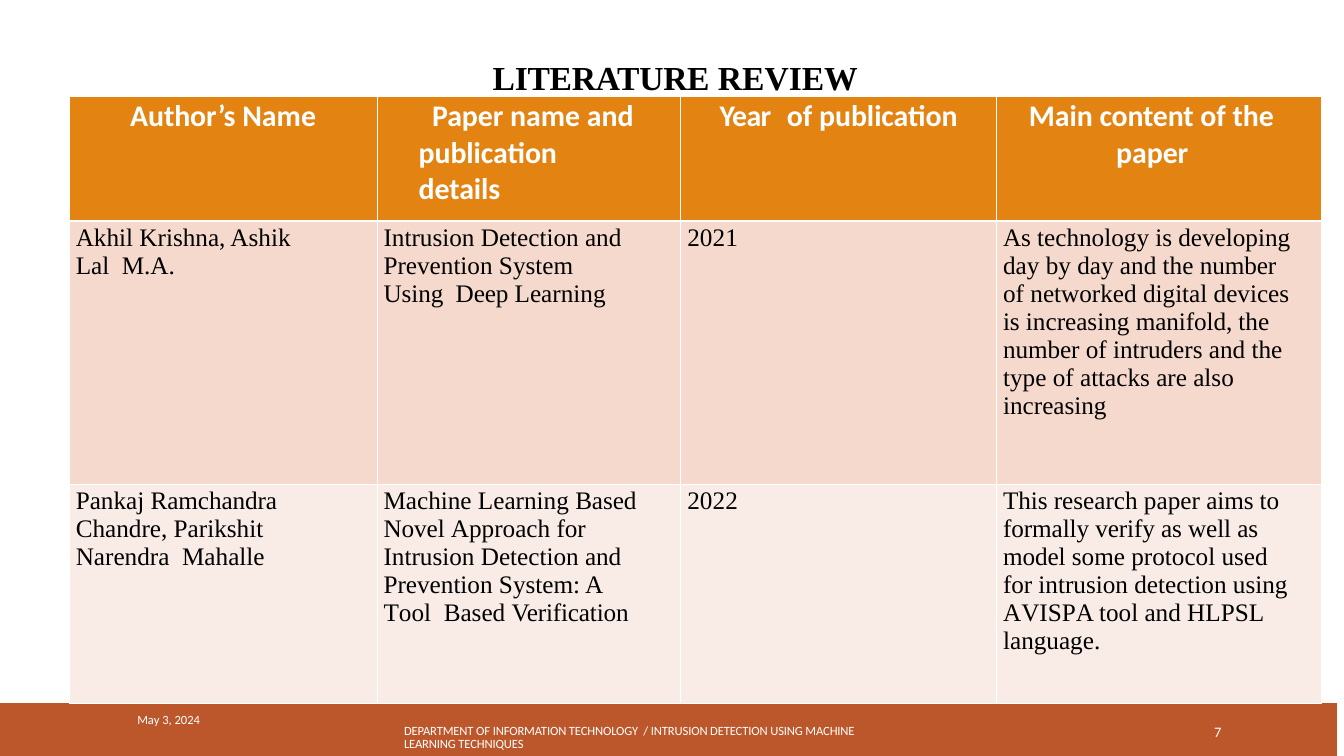
from lxml.etree import SubElement
from pptx import Presentation
from pptx.dml.color import RGBColor
from pptx.enum.text import PP_ALIGN
from pptx.oxml.ns import qn
from pptx.util import Pt

COLORS = {
    "header": "E38312",
    "first_row": "F5D9CC",
    "second_row": "F9ECE7",
    "footer": "BC572C",
    "white": "FFFFFF",
    "black": "000000",
}
SANS, SERIF = "Calibri", "Times New Roman"
NO_TABLE_STYLE = "{2D5ABB26-0587-4C30-8999-92F81FD0307C}"
COLUMN_WIDTHS = [74.2, 329.8, 325.4, 338.4, 347.8, 12.2]
ROW_HEIGHTS = [133.2, 282.2, 234.7, 56.9]

# Each cell is a list of (text, letter spacing in points) runs.
HEADERS = [
    [("Author’s ", -0.1), ("Name", 0)],
    [("Paper ", -0.1), ("name and  ", 0), ("publication details", -0.1)],
    [("Year\t", -0.7), ("of ", 0), ("publication", -0.1)],
    [("Main ", -0.1), ("content ", -0.2), ("of the  ", 0), ("paper", -0.1)],
]
HEADER_INDENTS = [(0, 0), (44.6, 14.4), (0, 0), (128.2, -93.6)]
HEADER_RIGHT_MARGINS = [0, 41, 0, 17]
FIRST_PAPER = [
    [("Akhil Krishna, Ashik Lal  ", 0), ("M.A.", -0.1)],
    [("Intrusion Detection and  Prevention System ", 0),
     ("Using  Deep ", -0.1), ("Learning", 0)],
    [("2021", 0.1)],
    [("As ", -0.1), ("technology ", 0), ("is ", -0.1),
     ("developing  day by day and the ", 0), ("number ", -0.1),
     (" of networked digital devices  ", 0), ("is ", -0.1),
     ("increasing ", 0), ("manifold, ", -0.1), ("the  ", 0),
     ("number ", -0.1),
     ("of intruders and the  type of attacks are also  increasing", 0)],
]
SECOND_PAPER = [
    [("Pankaj ", 0), ("Ramchandra ", -0.1),
     (" Chandre, Parikshit Narendra  Mahalle", 0)],
    [("Machine Learning ", 0), ("Based  Novel ", -0.1), ("Approach ", 0),
     ("for  ", -0.1), ("Intrusion Detection ", 0), ("and ", -0.1),
     (" Prevention System: A", 0), (" T", -2), ("ool  Based ", 0),
     ("Verification", -0.2)],
    [("2022", 0.1)],
    [("This ", -0.1), ("research paper ", 0),
     ("aims to  formally verify as well as  model ", -0.1),
     ("some protocol used  ", 0), ("for ", -0.1),
     ("intrusion detection using  ", 0), ("A", -3.5), ("VIS", 0),
     ("P", -2.6), ("A tool and HLPSL  language.", 0)],
]


def color(name):
    return RGBColor.from_string(COLORS[name])


def add_runs(paragraph, runs, size, font, color_name, bold=False):
    for text, spacing in runs:
        run = paragraph.add_run()
        run.text = text
        run.font.size = Pt(size)
        run.font.name = font
        run.font.bold = bold
        run.font.color.rgb = color(color_name)
        if spacing:
            run._r.get_or_add_rPr().set("spc", str(round(spacing * 100)))


def set_indent(paragraph, left, first_line=0):
    properties = paragraph._p.get_or_add_pPr()
    properties.set("marL", str(Pt(left)))
    properties.set("indent", str(Pt(first_line)))


def add_tab_stop(paragraph, position):
    tabs = SubElement(paragraph._p.get_or_add_pPr(), qn("a:tabLst"))
    SubElement(tabs, qn("a:tab"), pos=str(Pt(position)), algn="l")


def set_borders(cell, top, bottom):
    """Draw white borders; a width of zero leaves that side out."""
    properties = cell._tc.get_or_add_tcPr()
    for side, width in (("L", 1), ("R", 1), ("T", top), ("B", bottom)):
        if width:
            line = SubElement(properties, qn(f"a:ln{side}"), w=str(Pt(width)))
            fill = SubElement(line, qn("a:solidFill"))
            SubElement(fill, qn("a:srgbClr"), val=COLORS["white"])


def style_cell(cell, fill_name, top_margin, right_margin, borders):
    cell.margin_left = cell.margin_bottom = 0
    cell.margin_top = Pt(top_margin)
    cell.margin_right = Pt(right_margin)
    set_borders(cell, *borders)
    cell.fill.solid()
    cell.fill.fore_color.rgb = color(fill_name)


def fill_header(table):
    for column, runs in enumerate(HEADERS):
        cell = table.cell(0, column + 1)
        style_cell(cell, "header", 1.6, HEADER_RIGHT_MARGINS[column], (1, 3))
        paragraph = cell.text_frame.paragraphs[0]
        paragraph.space_before = Pt(1.6)
        set_indent(paragraph, *HEADER_INDENTS[column])
        if column in (0, 2):
            paragraph.alignment = PP_ALIGN.CENTER
        if column == 2:
            add_tab_stop(paragraph, 72)
        add_runs(paragraph, runs, 32, SANS, "white", bold=True)


def fill_paper(table, row, papers, fill_name, right_margins, borders):
    for column, runs in enumerate(papers):
        cell = table.cell(row, column + 1)
        style_cell(cell, fill_name, 2.7, right_margins[column], borders)
        paragraph = cell.text_frame.paragraphs[0]
        paragraph.space_before = Pt(2.7)
        set_indent(paragraph, 7)
        add_runs(paragraph, runs, 27, SERIF, "black")


def add_review_table(slide):
    frame = slide.shapes.add_table(
        len(ROW_HEIGHTS), len(COLUMN_WIDTHS), 0, Pt(103.7),
        Pt(sum(COLUMN_WIDTHS)), Pt(sum(ROW_HEIGHTS)))
    table = frame.table
    table.first_row = table.horz_banding = False
    table._tbl.tblPr.find(qn("a:tableStyleId")).text = NO_TABLE_STYLE
    for column, width in zip(table.columns, COLUMN_WIDTHS):
        column.width = Pt(width)
    for row, height in zip(table.rows, ROW_HEIGHTS):
        row.height = Pt(height)
    fill_header(table)
    fill_paper(table, 1, FIRST_PAPER, "first_row", [70, 53.6, 0, 17], (3, 1))
    fill_paper(table, 2, SECOND_PAPER, "second_row", [70, 36.4, 0, 17], (1, 0))
    for cell in table.rows[3].cells:
        cell.fill.solid()
        cell.fill.fore_color.rgb = color("footer")


def add_text(slide, box, runs, size, font, color_name, bold=False,
             indent=0.9, line_spacing=None, top_margin=0, space_before=0):
    shape = slide.shapes.add_textbox(*(Pt(length) for length in box))
    frame = shape.text_frame
    frame.word_wrap = True
    frame.margin_left = frame.margin_right = frame.margin_bottom = 0
    frame.margin_top = Pt(top_margin)
    paragraph = frame.paragraphs[0]
    paragraph.space_before = Pt(space_before)
    if line_spacing:
        paragraph.line_spacing = Pt(line_spacing)
    set_indent(paragraph, indent)
    add_runs(paragraph, runs, size, font, color_name, bold)


def add_footer(slide):
    department = ("DEPARTMENT OF INFORMATION TECHNOLOGY  / INTRUSION "
                  "DETECTION USING MACHINE LEARNING TECHNIQUES")
    add_text(slide, (432, 777, 540, 18), [(department, -0.1)],
             13.5, SANS, "white", line_spacing=13.8)
    add_text(slide, (1298, 777, 21.6, 18), [("7", 0.1)],
             15.5, SANS, "white", indent=2.9, line_spacing=15.9)
    add_text(slide, (146.2, 765.4, 105.8, 24.5), [("May 3, 2024", 0)],
             13.5, SANS, "white", line_spacing=13.8)


def main():
    presentation = Presentation()
    presentation.slide_width = Pt(1440)
    presentation.slide_height = Pt(810)
    slide = presentation.slides.add_slide(presentation.slide_layouts[6])
    add_review_table(slide)
    add_text(slide, (527, 60.5, 396.7, 45.4),
             [("LITERATURE ", -0.3), ("REVIEW", 0)], 36, SERIF, "black",
             bold=True, top_margin=1, space_before=1)
    add_footer(slide)
    presentation.save("out.pptx")


if __name__ == "__main__":
    main()
